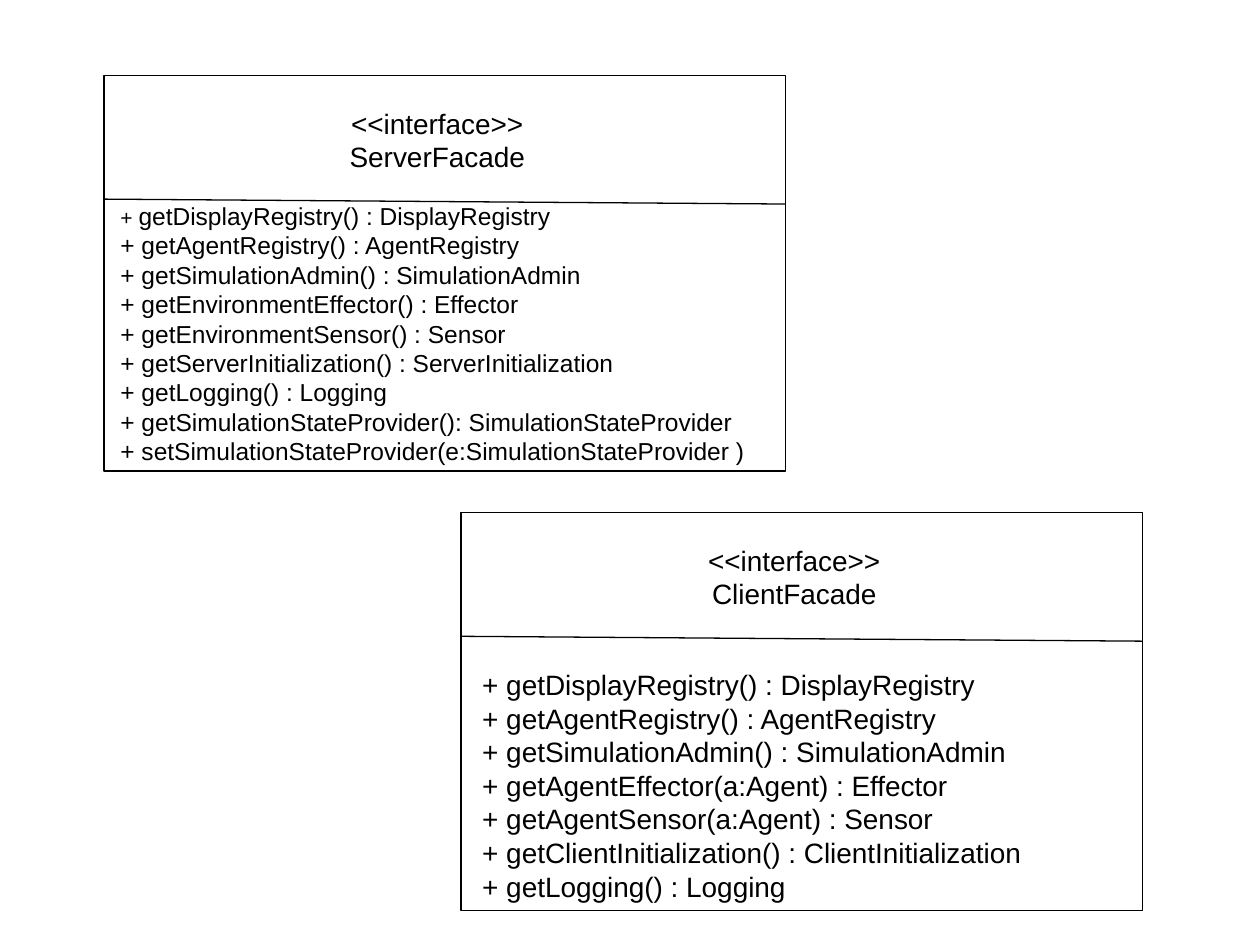
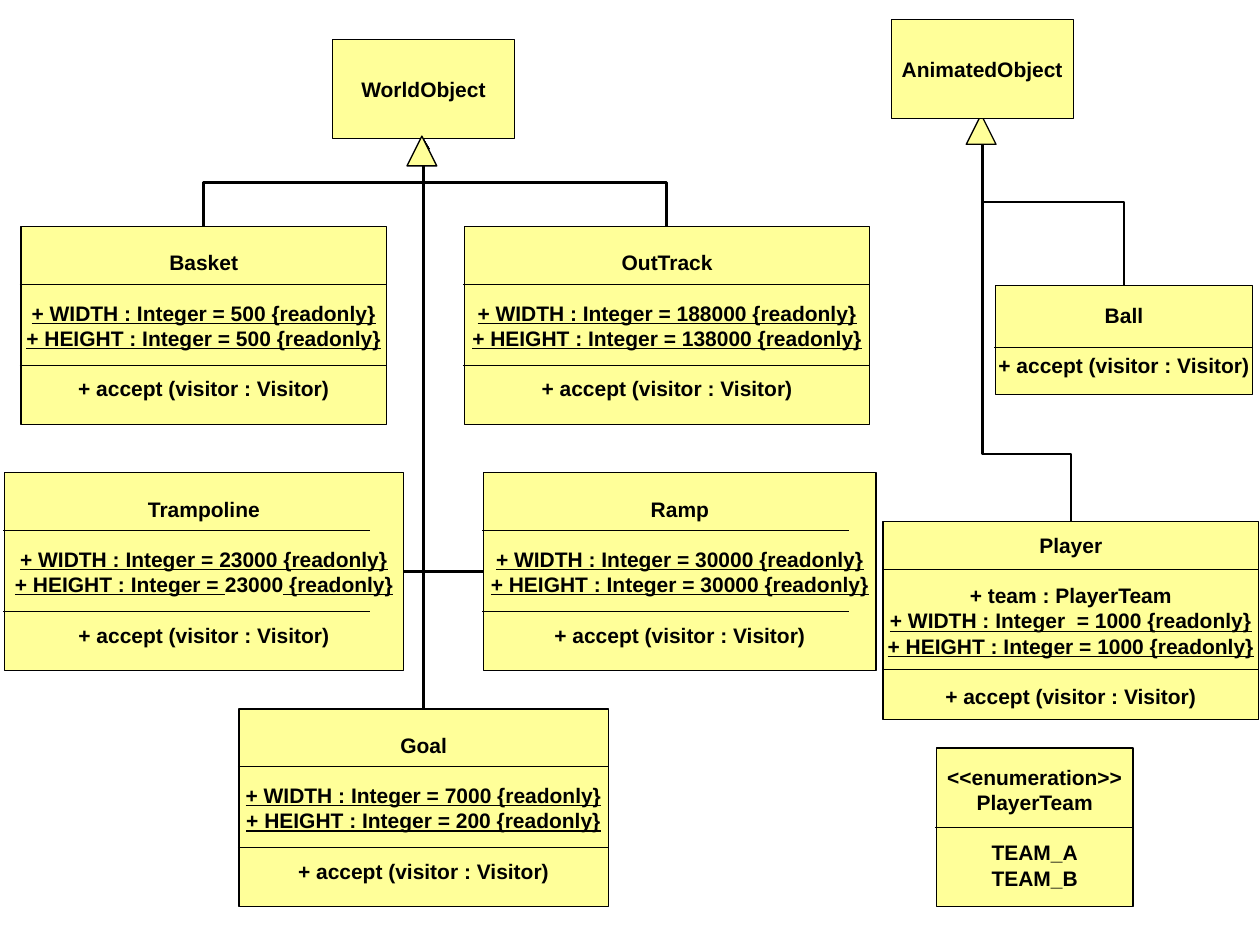
from pptx import Presentation
from pptx.dml.color import RGBColor
from pptx.enum.shapes import MSO_CONNECTOR, MSO_SHAPE
from pptx.enum.text import MSO_ANCHOR, PP_ALIGN
from pptx.oxml.ns import qn
from pptx.util import Pt
from lxml import etree

STRAIGHT, ELBOW = MSO_CONNECTOR.STRAIGHT, MSO_CONNECTOR.ELBOW
RECT, PEAK = MSO_SHAPE.RECTANGLE, MSO_SHAPE.ISOSCELES_TRIANGLE
LEFT, MID = PP_ALIGN.LEFT, PP_ALIGN.CENTER
TOP, CORE = MSO_ANCHOR.TOP, MSO_ANCHOR.MIDDLE
BLACK, WHITE, CREAM = "000000", "FFFFFF", "FFFF99"
FACE = "Arial"
THIN, THICK = 0.75, 1.5
GAP = 14.4  # one line of 12 pt text
EDGE = 0.7  # rules start just left of their class box
ACCEPT = "+ accept (visitor : Visitor)"


def hue(code):
    return RGBColor.from_string(code)


def apply(item, style):
    for key, value in style.items():
        setattr(item, key, value)


def pts(*values):
    return [Pt(v) for v in values]


def write(frame, paras, align, wrap, anchor):
    """Fill a text frame; each paragraph is (space before, runs of (text, style))."""
    apply(frame, {"word_wrap": wrap, "vertical_anchor": anchor})
    for i, (space, runs) in enumerate(paras):
        para = frame.add_paragraph() if i else frame.paragraphs[0]
        apply(para, {"alignment": align, "space_before": Pt(space)})
        for text, style in runs:
            run = para.add_run()
            run.text = text
            apply(run.font, {"name": FACE, **style})
            run.font.color.rgb = hue(BLACK)


def shape(slide, kind, box, fill):
    item = slide.shapes.add_shape(kind, *pts(*box))
    item.shadow.inherit = False
    item.fill.solid()
    item.fill.fore_color.rgb = hue(fill)
    item.line.color.rgb = hue(BLACK)
    item.line.width = Pt(THIN)
    return item


def line(slide, ends, kind=STRAIGHT, width=THIN, arrow=False):
    item = slide.shapes.add_connector(kind, *pts(*ends))
    item.line.color.rgb = hue(BLACK)
    item.line.width = Pt(width)
    props = item.element.spPr
    if arrow:
        tail = etree.SubElement(props.find(qn("a:ln")), qn("a:tailEnd"))
        tail.set("type", "arrow")
    etree.SubElement(props, qn("a:effectLst"))
    return props


def climb(slide, start, end, bend=0.5):
    """Elbow that leaves upwards, runs across at the bend, and goes up again."""
    (x0, y0), (x1, y1) = start, end
    mx, my = (x0 + x1) / 2, (y0 + y1) / 2
    rise, run = (y0 - y1) / 2, (x1 - x0) / 2
    props = line(slide, (mx - rise, my - run, mx + rise, my + run),
                 ELBOW, THICK, True)
    props.find(qn("a:xfrm")).set("rot", str(270 * 60000))
    guides = props.find(qn("a:prstGeom")).find(qn("a:avLst"))
    guide = etree.SubElement(guides, qn("a:gd"))
    guide.set("name", "adj1")
    guide.set("fmla", f"val {round(bend * 100000)}")


def corner(slide, start, end):
    """Elbow with one turn: across, then up."""
    props = line(slide, (*start, *end), ELBOW, THICK, True)
    props.find(qn("a:prstGeom")).set("prst", "bentConnector2")


def facade(slide, box, name, calls, size, inset, lead):
    """Interface box; inset is where its list of calls starts."""
    x, y, w, h = box
    shape(slide, RECT, box, WHITE)
    head = slide.shapes.add_textbox(*pts(x + 120.4, y + 14, 140, 46))
    title = [(0, [(text, {"size": Pt(16)})]) for text in ("<<interface>>", name)]
    write(head.text_frame, title, MID, True, TOP)
    line(slide, (x, y + 70.6, x + w, y + 73.4))
    dx, dy = inset
    body = slide.shapes.add_textbox(*pts(x + dx, y + dy, w - dx, h - dy))
    rows = []
    for i, call in enumerate(calls):
        plus = size if i else lead
        rows.append((0, [("+ ", {"size": Pt(plus)}), (call, {"size": Pt(size)})]))
    write(body.text_frame, rows, LEFT, True, TOP)


def block(slide, box, parts, cuts=(), span=None):
    """Class box with its parts of text and the rules at heights cuts.

    Readonly lines are underlined, save for what stands between bars."""
    x, y, w, _ = box
    rows = []
    for i, part in enumerate(parts):
        for j, text in enumerate(part):
            fixed = "{readonly}" in text
            runs = [(bit, {"size": Pt(12), "bold": True,
                           "underline": fixed and k % 2 == 0})
                    for k, bit in enumerate(text.split("|"))]
            rows.append((GAP if i and not j else 0, runs))
    write(shape(slide, RECT, box, CREAM).text_frame, rows, MID, False, CORE)
    for cut in cuts:
        left = x - EDGE
        line(slide, (left, y + cut, x + w if span is None else left + span, y + cut))


def thing(slide, box, name, wide, high, span=None):
    """World object with a fixed width and height."""
    sizes = [f"+ WIDTH : Integer = {wide} {{readonly}}",
             f"+ HEIGHT : Integer = {high} {{readonly}}"]
    block(slide, box, [[name], sizes, [ACCEPT]], (33.1, 79.2), span)


def facades(slide):
    common = ["getDisplayRegistry() : DisplayRegistry",
              "getAgentRegistry() : AgentRegistry",
              "getSimulationAdmin() : SimulationAdmin"]
    log = "getLogging() : Logging"
    server = common + [
        "getEnvironmentEffector() : Effector",
        "getEnvironmentSensor() : Sensor",
        "getServerInitialization() : ServerInitialization",
        log,
        "getSimulationStateProvider(): SimulationStateProvider",
        "setSimulationStateProvider(e:SimulationStateProvider )"]
    client = common + [
        "getAgentEffector(a:Agent) : Effector",
        "getAgentSensor(a:Agent) : Sensor",
        "getClientInitialization() : ClientInitialization",
        log]
    facade(slide, (59.5, 43.2, 389.5, 226), "ServerFacade", server,
           14, (2.2, 68.1), 12)
    facade(slide, (263.5, 293, 389.5, 227.3), "ClientFacade", client,
           16, (5, 85), 16)


def world(slide):
    root = (242, 79.2)
    for x in (116.4, 381):
        climb(slide, (x, 129.5), root)
    for x in (230.4, 276.5):
        corner(slide, (x, 326.7), root)
    line(slide, (242, 405.3, *root), width=THICK, arrow=True)
    block(slide, (190, 22.5, 104, 56.7), [["WorldObject"]])
    thing(slide, (12, 129.5, 208.9, 113), "Basket", 500, 500)
    thing(slide, (265.5, 129.5, 231.5, 113), "OutTrack", 188000, 138000)
    thing(slide, (2.7, 270.2, 227.8, 113), "Trampoline", 23000, "|23000|", 209.4)
    thing(slide, (276.4, 270.2, 224.2, 113), "Ramp", 30000, 30000, 209.4)
    thing(slide, (136.6, 405.1, 211, 113), "Goal", 7000, 200)
    shape(slide, PEAK, (232.6, 77.8, 17, 17), CREAM)


def actors(slide):
    root = (561.4, 67.7)
    climb(slide, (612, 298), root, 0.167)
    climb(slide, (642.2, 163.4), root)
    shape(slide, PEAK, (552.2, 65.5, 17, 17), CREAM)
    block(slide, (509.3, 11.2, 104, 56.7), [["AnimatedObject"]])
    block(slide, (568.8, 163.3, 147, 62), [["Ball"], [ACCEPT]], (35.3,))
    block(slide, (504.6, 298, 214.6, 113.2),
          [["Player"],
           ["+ team : PlayerTeam",
            "+ WIDTH : Integer  = 1000 {readonly}",
            "+ HEIGHT : Integer = 1000 {readonly}"],
           [ACCEPT]], (27.4, 84.7))
    block(slide, (535, 427.5, 112.5, 90.6),
          [["<<enumeration>>", "PlayerTeam"], ["TEAM_A", "TEAM_B"]], (45.4,))


def main():
    deck = Presentation()
    apply(deck, {"slide_width": Pt(720), "slide_height": Pt(540)})
    for regions in ((facades,), (world, actors)):
        slide = deck.slides.add_slide(deck.slide_layouts[6])
        for draw in regions:
            draw(slide)
    deck.save("out.pptx")


if __name__ == "__main__":
    main()
